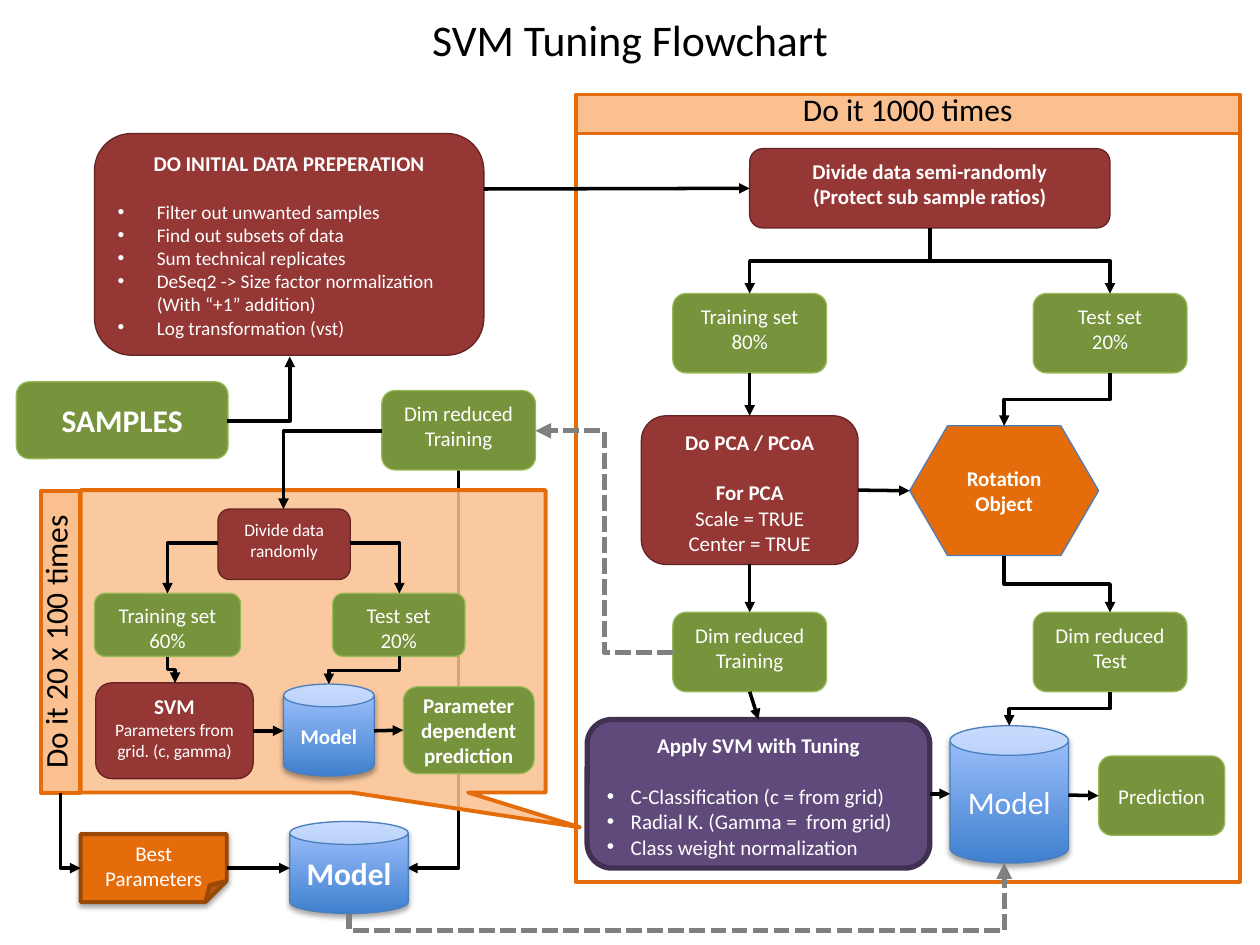
from lxml.etree import SubElement as Sub
from pptx import Presentation
from pptx.dml.color import RGBColor
from pptx.enum.dml import MSO_LINE as Dash
from pptx.enum.shapes import MSO_CONNECTOR as Con, MSO_SHAPE as Geo
from pptx.enum.text import MSO_ANCHOR as Anchor, PP_ALIGN as Align
from pptx.oxml.ns import qn
from pptx.util import Inches, Pt

WHITE = RGBColor(0xFF, 0xFF, 0xFF)
BLACK = RGBColor(0x00, 0x00, 0x00)
GRAY = RGBColor(0x80, 0x80, 0x80)
GREEN = RGBColor(0x77, 0x93, 0x3C)
LIME = RGBColor(0x98, 0xB9, 0x55)
RED = RGBColor(0x95, 0x37, 0x35)
MAROON = RGBColor(0x63, 0x25, 0x23)
ORANGE = RGBColor(0xE4, 0x6C, 0x0A)
BROWN = RGBColor(0x98, 0x48, 0x07)
PEACH = RGBColor(0xFA, 0xC0, 0x90)
PURPLE = RGBColor(0x60, 0x4A, 0x7B)
PLUM = RGBColor(0x40, 0x31, 0x52)
BLUE = RGBColor(0x4B, 0x7E, 0xBC)
DEEP = RGBColor(0x3F, 0x80, 0xCE)
SKY = RGBColor(0xA4, 0xC4, 0xFF)
EDGE = {GREEN: LIME, RED: MAROON, PURPLE: PLUM}
ROUND = Geo.FLOWCHART_ALTERNATE_PROCESS
TOP, LEFT, BOTTOM, RIGHT = range(4)

deck = Presentation()
deck.slide_width, deck.slide_height = Inches(10), Inches(7.5)
slide = deck.slides.add_slide(deck.slide_layouts[6])
shapes = slide.shapes


def box(at, fill, paras=(), geo=ROUND, edge=None, wide=0.75,
        anchor=Anchor.TOP, ink=WHITE, shade=False):
    """Add a shape; each para is (text, size, bold, bullet indent, gap after)."""
    shape = shapes.add_shape(geo, *map(Inches, at))
    shape.shadow.inherit = False
    if fill is None:
        shape.fill.background()
    elif fill == SKY:
        shape.fill.gradient()
        shape.fill.gradient_angle = 90
        for stop, color in zip(shape.fill.gradient_stops, (DEEP, SKY)):
            stop.color.rgb = color
    else:
        shape.fill.solid()
        shape.fill.fore_color.rgb = fill
    shape.line.color.rgb = edge or EDGE[fill]
    shape.line.width = Pt(wide)
    if shade:
        glow = Sub(shape._element.spPr.find(qn("a:effectLst")), qn("a:outerShdw"),
                   blurRad=str(Pt(3.1)), dist=str(Pt(1.8)), dir="5400000", rotWithShape="0")
        tone = Sub(glow, qn("a:srgbClr"), val="000000")
        Sub(tone, qn("a:alpha"), val="35000")
    frame = shape.text_frame
    frame.word_wrap = True
    frame.vertical_anchor = anchor
    for num, (text, size, bold, indent, gap) in enumerate(paras):
        para = frame.add_paragraph() if num else frame.paragraphs[0]
        para.alignment = Align.LEFT if indent else Align.CENTER
        para.space_after = Pt(gap)
        if indent:
            props = para._p.get_or_add_pPr()
            props.set("marL", str(Inches(indent)))
            props.set("indent", str(-Inches(indent)))
            Sub(props, qn("a:buFont"), typeface="Arial")
            Sub(props, qn("a:buChar"), char="•")
        for row, part in enumerate(text.split("\n")):
            if row:
                para.add_line_break()
            run = para.add_run()
            run.text = part
            run.font.name, run.font.size, run.font.bold = "Calibri", Pt(size), bold
            run.font.color.rgb = ink
    return shape


def link(x1, y1, x2, y2, kind=Con.STRAIGHT, down=False, corner=False,
         adj=None, color=BLACK, wide=2, dash=None):
    """Add an arrow; down makes an elbow leave vertically, corner bends it once."""
    con = shapes.add_connector(kind, *map(Inches, (x1, y1, x2, y2)))
    props = con._element.spPr
    if down:
        long, tall = abs(y2 - y1), abs(x2 - x1)
        con.left, con.top = Inches((x1 + x2 - long) / 2), Inches((y1 + y2 - tall) / 2)
        con.width, con.height = Inches(long), Inches(tall)
        frame = props.find(qn("a:xfrm"))
        frame.set("rot", "5400000" if y2 > y1 else "16200000")
        frame.set("flipH", "0")
        frame.set("flipV", "1" if (x2 > x1) == (y2 > y1) else "0")
    geo = props.find(qn("a:prstGeom"))
    if corner:
        geo.set("prst", "bentConnector2")
    if adj is not None:
        Sub(geo.find(qn("a:avLst")), qn("a:gd"), name="adj1", fmla=f"val {adj}")
    con.line.color.rgb, con.line.width = color, Pt(wide)
    if dash:
        con.line.dash_style = dash
    Sub(props.find(qn("a:ln")), qn("a:tailEnd"), type="triangle")
    Sub(props, qn("a:effectLst"))
    return con


# Runs behind the tinted tuning panel
link(3.64, 3.73, 3.23, 6.89, Con.ELBOW, down=True, corner=True)

# Data preparation
box((0.13, 3.03, 1.68, 0.61), GREEN, [("SAMPLES", 18, True, 0, 0)], anchor=Anchor.MIDDLE)
steps = ["Filter out unwanted samples", "Find out subsets of data", "Sum technical replicates",
         "DeSeq2 -> Size factor normalization\n(With “+1” addition)",
         "Log transformation (vst)"]
box((0.75, 1.06, 3.09, 1.76), RED, [("DO INITIAL DATA PREPERATION", 12, True, 0, 14)]
    + [(step, 11, False, 0.31, 0) for step in steps])

# Outer loop
box((4.57, 1.06, 5.27, 5.94), None, geo=Geo.RECTANGLE, edge=ORANGE, wide=2.25)
box((4.57, 0.75, 5.27, 0.31), PEACH, [("Do it 1000 times", 18, False, 0, 0)],
    Geo.RECTANGLE, ORANGE, 2.25, Anchor.BOTTOM, BLACK)
split = box((5.95, 1.18, 2.86, 0.63), RED, [
    ("Divide data semi-randomly", 12, True, 0, 0),
    ("(Protect sub sample ratios)", 12, True, 0, 0)])
sets = [box((x, y, 1.22, 0.63), GREEN, [(text, 12, False, 0, 0)]) for x, y, text in [
    (5.34, 2.33, "Training set\n80%"), (8.2, 2.33, "Test set\n20%"),
    (5.34, 4.86, "Dim reduced\nTraining"), (8.2, 4.86, "Dim reduced\nTest"),
    (3.03, 3.1, "Dim reduced\nTraining")]]
train, test, small = sets[:3]
pca = box((5.09, 3.3, 1.72, 1.18), RED, [
    ("Do PCA / PCoA", 12, True, 0, 14.6), ("For PCA", 12, True, 0, 0),
    ("Scale = TRUE", 12, False, 0, 0), ("Center = TRUE", 12, False, 0, 0)])
turn = box((7.22, 3.38, 1.5, 1.03), ORANGE, [("Rotation Object", 12, True, 0, 0)],
           Geo.FLOWCHART_PREPARATION, BLUE, anchor=Anchor.MIDDLE)
guess = box((8.72, 6, 1, 0.63), GREEN, [("Prediction", 12, False, 0, 0)], anchor=Anchor.MIDDLE)

# Inner loop
panel = box((0.64, 3.89, 3.69, 2.4), PEACH, geo=Geo.RECTANGULAR_CALLOUT, edge=ORANGE, wide=2.25)
panel.adjustments[0], panel.adjustments[1] = 0.574, 0.615
Sub(panel._element.spPr.find(qn("a:solidFill"))[0], qn("a:alpha"), val="85000")
box((1.73, 4.04, 1.05, 0.56), RED, [("Divide data randomly", 10, False, 0, 0)])
for x, wide, text in [(0.75, 1.16, "Training set\n60%"), (2.64, 1.05, "Test set\n20%")]:
    box((x, 4.71, wide, 0.5), GREEN, [(text, 12, False, 0, 0)])
grid = box((0.76, 5.42, 1.25, 0.76), RED, [
    ("SVM", 12, True, 0, 0), ("Parameters from grid. (c, gamma)", 10, False, 0, 0)])
score = box((3.2, 5.45, 1.04, 0.69), GREEN,
            [("Parameter dependent prediction", 12, True, 0, 0)], anchor=Anchor.MIDDLE)
side = box((-0.72, 4.94, 2.4, 0.31), PEACH, [("Do it 20 x 100 times", 18, False, 0, 0)],
           Geo.RECTANGLE, ORANGE, 2.25, Anchor.BOTTOM, BLACK)
side.rotation = 270

# Tuning, best values and models
tune = box((4.66, 5.71, 2.72, 1.18), PURPLE, [("Apply SVM with Tuning", 12, True, 0, 14.6)] + [
    (text, 12, False, 0.19, 0) for text in (
        "C-Classification (c = from grid)", "Radial K. (Gamma =  from grid)",
        "Class weight normalization")], wide=3)
best = box((0.64, 6.62, 1.16, 0.54), ORANGE, [("Best Parameters", 12, False, 0, 0)],
           Geo.FOLDED_CORNER, BROWN, 2.25, shade=True)
fold = best._element.spPr.find(qn("a:prstGeom")).find(qn("a:avLst"))
Sub(fold, qn("a:gd"), name="adj", fmla="val 31400")
for at, size, bold in [((7.54, 5.76, 0.94, 1.09), 18, False),
                       ((2.25, 5.43, 0.72, 0.73), 12, True),
                       ((2.3, 6.52, 0.94, 0.73), 18, True)]:
    box(at, SKY, [("Model", size, bold, 0, 0)], Geo.CAN, BLUE,
        anchor=Anchor.MIDDLE, shade=True)

# Straight arrows, joined where they meet the middle of a side
for ends, src, out, dst, into in [
        ((3.84, 1.5, 5.95, 1.5), None, None, split, LEFT),
        ((5.95, 2.96, 5.95, 3.3), train, BOTTOM, pca, TOP),
        ((6.81, 3.89, 7.22, 3.89), pca, RIGHT, turn, LEFT),
        ((5.95, 4.48, 5.95, 4.86), pca, BOTTOM, small, TOP),
        ((5.95, 5.49, 5.95, 5.71), small, BOTTOM, tune, TOP),
        ((7.38, 6.3, 7.54, 6.3), tune, RIGHT, None, None),
        ((8.48, 6.31, 8.72, 6.31), None, None, guess, LEFT),
        ((2.01, 5.8, 2.25, 5.8), grid, RIGHT, None, None),
        ((2.97, 5.8, 3.2, 5.8), None, None, score, LEFT),
        ((1.8, 6.89, 2.3, 6.89), best, RIGHT, None, None)]:
    con = link(*ends)
    if src:
        con.begin_connect(src, out)
    if dst:
        con.end_connect(dst, into)

# Elbows that leave downwards and turn twice
for ends in [(7.38, 1.81, 5.95, 2.33), (7.38, 1.81, 8.81, 2.33), (8.81, 2.96, 7.97, 3.38),
             (7.97, 4.41, 8.81, 4.86), (8.81, 5.49, 8.01, 5.76),
             (1.33, 5.21, 1.39, 5.42), (3.17, 5.21, 2.61, 5.43)]:
    link(*ends, Con.ELBOW, down=True)

# Elbows with a single corner
for ends in [(1.8, 3.34, 2.3, 2.83), (1.73, 4.31, 1.33, 4.71),
             (2.78, 4.31, 3.17, 4.71), (3.03, 3.42, 2.25, 4.04)]:
    link(*ends, Con.ELBOW, corner=True)
link(0.48, 6.29, 0.64, 6.89, Con.ELBOW, down=True, corner=True)

# Dashed hand-overs between the loops
link(5.34, 5.18, 4.25, 3.42, Con.ELBOW, color=GRAY, wide=3, dash=Dash.SQUARE_DOT)
link(2.77, 7.25, 7.97, 6.85, Con.ELBOW, down=True, adj=-33900,
     color=GRAY, wide=3, dash=Dash.SQUARE_DOT)

title = shapes.add_textbox(*map(Inches, (0.5, 0.07, 9, 0.48))).text_frame
title.word_wrap = True
title.vertical_anchor = Anchor.MIDDLE
title.paragraphs[0].alignment = Align.CENTER
run = title.paragraphs[0].add_run()
run.text = "SVM Tuning Flowchart"
run.font.name, run.font.size, run.font.color.rgb = "Calibri", Pt(25), BLACK

deck.save("out.pptx")
